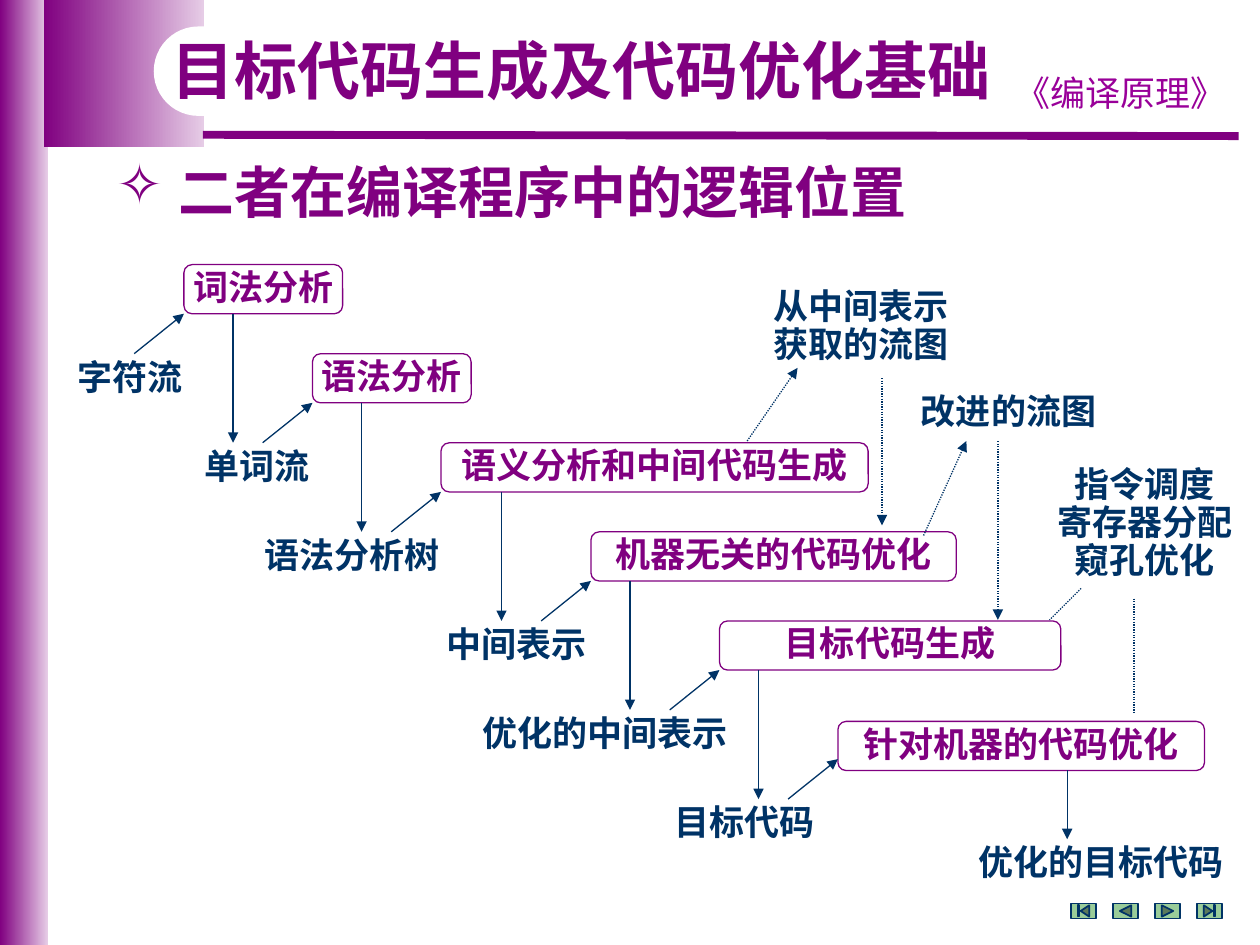
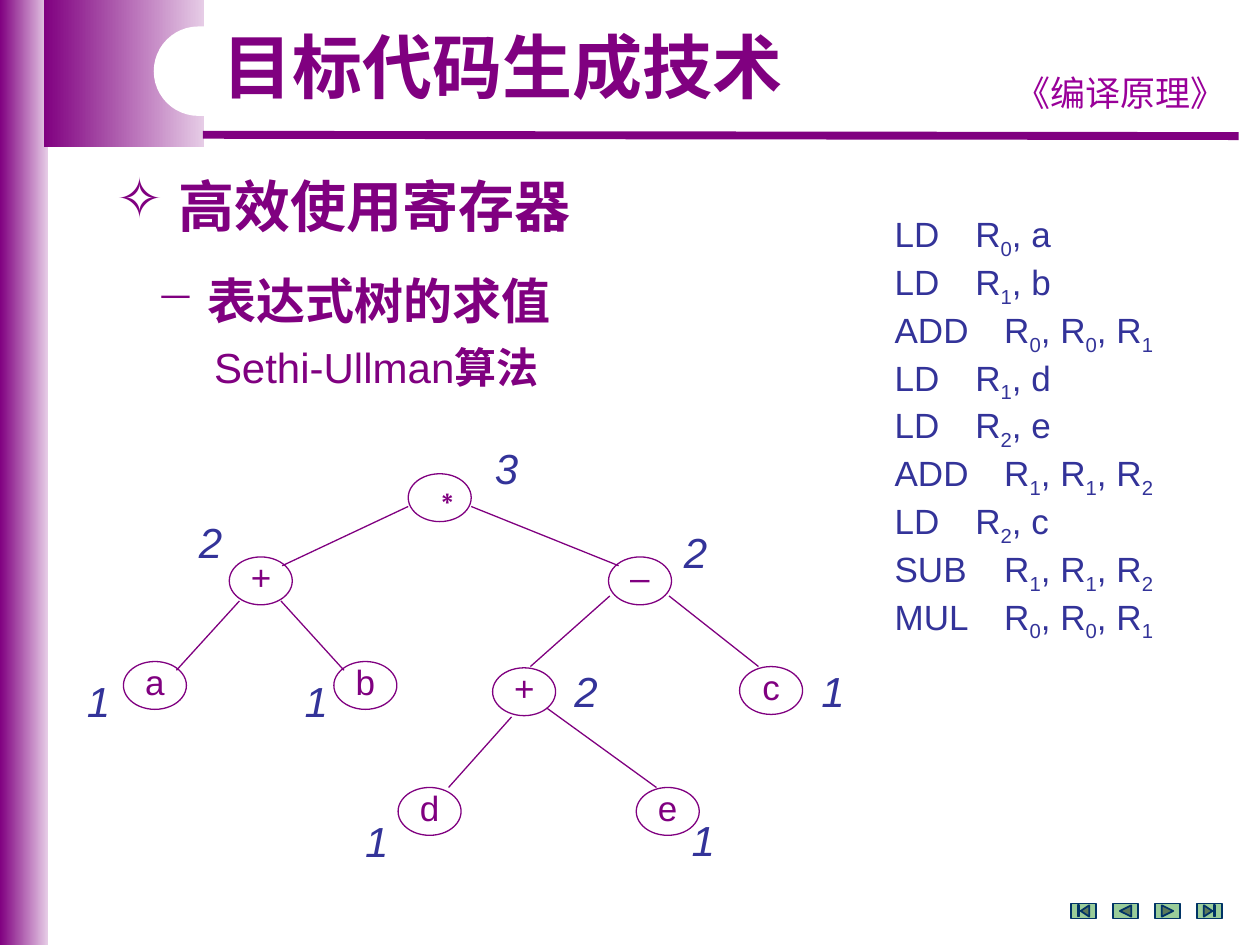
from copy import deepcopy
from itertools import groupby

from lxml import etree
from pptx import Presentation
from pptx import util as u
from pptx.dml.color import RGBColor
from pptx.enum import dml, shapes, text
from pptx.oxml.ns import qn

# The slide is a grid of 100 columns by 75 rows of square cells.
CELL = u.Inches(0.1)
PURPLE, PALE, MAGENTA = "800080", "E6CCE6", "990099"
NAVY, INDIGO, GREEN, WHITE = "003366", "333399", "99CC99", "FFFFFF"
LATIN, CHINESE = "Arial", "Noto Sans CJK SC"
PRESET = shapes.MSO_SHAPE
CENTER = text.PP_ALIGN.CENTER
colour = RGBColor.from_string


def write(slide, box, words, *, preset=None, fill=None, outline=None, size=20, ink=PURPLE,
          font=LATIN, bold=False, italic=False, align=None, spacing=None, wrap=True, grow=True,
          inset=(1, 0.5), middle=False, bullet=None, hang=0, subscripts=False):
    """Put words, one paragraph a line, in a text box or preset shape given in grid cells."""
    place = [int(cells * CELL) for cells in box]
    if preset is None:
        shape = slide.shapes.add_textbox(*place)
    else:
        shape = slide.shapes.add_shape(preset, *place)
        shape.shadow.inherit = False
        shape.fill.background()
        shape.line.fill.background()
    if fill:
        shape.fill.solid()
        shape.fill.fore_color.rgb = colour(fill)
    if outline:
        shape.line.color.rgb = colour(outline)
        shape.line.width = u.Pt(0.75)
    frame = shape.text_frame
    frame.word_wrap = wrap
    frame.auto_size = text.MSO_AUTO_SIZE.SHAPE_TO_FIT_TEXT if grow else text.MSO_AUTO_SIZE.NONE
    frame.vertical_anchor = text.MSO_ANCHOR.MIDDLE if middle else text.MSO_ANCHOR.TOP
    frame.margin_left = frame.margin_right = int(inset[0] * CELL)
    frame.margin_top = frame.margin_bottom = int(inset[1] * CELL)
    for number, line in enumerate(words.split("\n")):
        paragraph = frame.add_paragraph() if number else frame.paragraphs[0]
        paragraph.alignment = align
        paragraph.line_spacing = spacing
        if bullet and number == 0:
            properties = paragraph._p.get_or_add_pPr()
            properties.set("marL", str(int(hang * CELL)))
            properties.set("indent", str(int(-hang * CELL)))
            etree.SubElement(properties, qn("a:buChar"), char=bullet)
        for lowered, letters in groupby(line, lambda letter: subscripts and letter.isdigit()):
            run = paragraph.add_run()
            run.text = "".join(letters)
            run.font.name = font
            run.font.size = u.Pt(size)
            run.font.bold = bold
            run.font.italic = italic
            run.font.color.rgb = colour(ink)
            etree.SubElement(run._r.rPr, qn("a:ea"), typeface=CHINESE)
            if lowered:
                run._r.rPr.set("baseline", "-25000")
    return shape


def connect(slide, start, end, ink=NAVY, width=0.75, arrow=True, dotted=False):
    ends = [int(cells * CELL) for cells in (*start, *end)]
    connector = slide.shapes.add_connector(shapes.MSO_CONNECTOR.STRAIGHT, *ends)
    connector.line.color.rgb = colour(ink)
    connector.line.width = u.Pt(width)
    if dotted:
        connector.line.dash_style = dml.MSO_LINE.ROUND_DOT
    if arrow:
        etree.SubElement(connector.line._get_or_add_ln(), qn("a:tailEnd"), type="triangle")
    etree.SubElement(connector._element.spPr, qn("a:effectLst"))


presentation = Presentation()
presentation.slide_width = 100 * CELL
presentation.slide_height = 75 * CELL
blank = presentation.slide_layouts[6]
logic_slide = presentation.slides.add_slide(blank)
register_slide = presentation.slides.add_slide(blank)

# Shared bands, rule, course name and navigation buttons
buttons = [PRESET.ACTION_BUTTON_BEGINNING, PRESET.ACTION_BUTTON_BACK_OR_PREVIOUS,
           PRESET.ACTION_BUTTON_FORWARD_OR_NEXT, PRESET.ACTION_BUTTON_END]
for slide in (logic_slide, register_slide):
    for box in ((0, 0, 3.8, 75), (3.5, 0, 12.7, 11.7)):
        band = write(slide, box, "", preset=PRESET.RECTANGLE, grow=False)
        band.fill.gradient()
        band.fill.gradient_angle = 0
        for stop, shade in zip(band.fill.gradient_stops, (PURPLE, PALE)):
            stop.color.rgb = colour(shade)
    connect(slide, (16.1, 10.7), (98.3, 10.8), ink=PURPLE, width=4.5, arrow=False)
    write(slide, (79.1, 5.2, 19.7, 4.3), "《编译原理》", font=CHINESE, ink=MAGENTA, align=CENTER)
    notch = write(slide, (12.2, 2.1, 36.2, 7.1), "", preset=PRESET.ROUNDED_RECTANGLE,
                  fill=WHITE, grow=False)
    notch.adjustments[0] = 0.5
    for number, preset in enumerate(buttons):
        button = write(slide, (85 + number * 10 / 3, 71.7, 2, 1.2), "", preset=preset,
                       fill=GREEN, outline=NAVY, grow=False)
        button.line.width = u.Pt(1)

# Slide 1: compiler phases going down a staircase
write(logic_slide, (8.3, 12, 75.9, 6.3), "二者在编译程序中的逻辑位置", size=32, bold=True,
      bullet="✧", hang=4.9)
label = dict(ink=NAVY, bold=True, align=CENTER, spacing=0.9)
TOP, STEP, HEIGHT, LAST_DROP = 21, 7.07, 3.9, 0.9
# phase, its left and width, its input, the input's left and width, column of its output arrow
phases = [
    ("词法分析", 14.6, 12.6, "字符流", 5.1, 10.4, 18.5),
    ("语法分析", 24.8, 12.6, "单词流", 15.2, 10.4, 28.7),
    ("语义分析和中间代码生成", 35, 33.9, "语法分析树", 19.3, 17.3, 39.8),
    ("机器无关的代码优化", 46.9, 29, "中间表示", 34.3, 13.4, 50),
    ("目标代码生成", 57.1, 27.1, "优化的中间表示", 36.6, 22.8, 60.2),
    ("针对机器的代码优化", 66.5, 29.1, "目标代码", 52.4, 13.4, 84.7),
]
for number, (phase, left, width, source, source_left, source_width, output) in enumerate(phases):
    tier = TOP + number * STEP
    last = number == len(phases) - 1
    top = tier + LAST_DROP if last else tier
    write(logic_slide, (left, top, width, HEIGHT), phase, preset=PRESET.ROUNDED_RECTANGLE,
          fill=WHITE, outline=PURPLE, bold=True, align=CENTER, spacing=0.9, middle=True,
          wrap=False, grow=False)
    write(logic_slide, (source_left, tier + STEP, source_width, 4.1), source, wrap=False, **label)
    connect(logic_slide, (left - 3.95, tier + STEP), (left, tier + HEIGHT))
    connect(logic_slide, (output, top + HEIGHT), (output, 66.6 if last else tier + 2 * STEP))
write(logic_slide, (76, 66.6, 22.8, 4.1), "优化的目标代码", wrap=False, **label)

for box, words in [((60, 22.5, 16.7, 7.1), "从中间表示获取的流图"),
                   ((71.7, 30.8, 16.7, 4.1), "改进的流图"),
                   ((82.5, 36.6, 16.7, 10.1), "指令调度\n寄存器分配\n窥孔优化")]:
    write(logic_slide, box, words, **label)
for start, end, arrow in [((59.3, 35), (63.3, 29.2), True), ((70, 30), (70, 41.7), True),
                          ((73.3, 42.5), (76.7, 35), True), ((79.2, 35), (79.2, 49.2), True),
                          ((90, 47.5), (90, 56.7), False), ((85.8, 46.7), (83.3, 49.2), False)]:
    connect(logic_slide, start, end, arrow=arrow, dotted=True)
write(logic_slide, (12.6, 2.7, 67.3, 6.4), "目标代码生成及代码优化基础", size=36, font=CHINESE,
      bold=True, spacing=0.9)

# Slide 2: expression tree and the code generated from it
write(register_slide, (16.7, 2.1, 47.5, 7), "目标代码生成技术", size=40, bold=True, spacing=0.9)
write(register_slide, (8.3, 13.1, 40.9, 6.4), "高效使用寄存器", size=32, bold=True,
      bullet="✧", hang=4.9)
topic = write(register_slide, (11.4, 21, 44.9, 11.4), "表达式树的求值\nSethi-Ullman", size=28,
              bold=True, bullet="−", hang=4.1)
algorithm = topic.text_frame.paragraphs[1]
algorithm.space_before = u.Pt(7)
algorithm._p.get_or_add_pPr().set("marL", str(int(4.6 * CELL)))
algorithm.runs[0].font.size = u.Pt(24)
algorithm._p.append(deepcopy(algorithm.runs[0]._r))
algorithm.runs[0].font.bold = False
algorithm.runs[1].text = "算法"

# symbol, left and top of the node, register count, left and top of the count
nodes = [
    ("∗", 32.4, 37.6, "3", 38.3, 35.9),
    ("+", 18.2, 44.2, "2", 14.8, 41.8),
    ("–", 48.3, 44.2, "2", 53.3, 42.6),
    ("a", 9.8, 52.5, "1", 5.9, 54.4),
    ("b", 26.5, 52.5, "1", 23.2, 54.4),
    ("+", 39.1, 53, "2", 44.6, 53.6),
    ("c", 58.7, 52.9, "1", 64.2, 53.6),
    ("d", 31.6, 62.5, "1", 28, 65.5),
    ("e", 50.5, 62.5, "1", 53.9, 65.4),
]
for symbol, left, top, count, count_left, count_top in nodes:
    write(register_slide, (left, top, 5, 3.8), symbol, preset=PRESET.OVAL, outline=PURPLE,
          align=CENTER, spacing=0.8, inset=(1, 0), middle=True)
    write(register_slide, (count_left, count_top, 3.9, 3.2), count, size=24, ink=INDIGO,
          italic=True, spacing=0.8, inset=(1, 0))
for start, end in [((32.4, 40.2), (22.4, 44.9)), ((37.4, 40.2), (49.1, 44.9)),
                   ((19, 47.7), (14, 53.2)), ((22.3, 47.7), (27.3, 53.2)),
                   ((48.4, 47.3), (42.1, 52.9)), ((53.1, 47.3), (60.2, 52.9)),
                   ((40.6, 56.9), (35.6, 62.5)), ((43.4, 56.2), (52.1, 62.5))]:
    connect(register_slide, start, end, ink=PURPLE, arrow=False)

instructions = ["LD\tR0, a", "LD\tR1, b", "ADD\tR0, R0, R1", "LD\tR1, d", "LD\tR2, e",
                "ADD\tR1, R1, R2", "LD\tR2, c", "SUB\tR1, R1, R2", "MUL\tR0, R0, R1"]
listing = write(register_slide, (64.2, 16.4, 29.9, 31.3), "\n".join(instructions), ink=INDIGO,
                subscripts=True)
listing.text_frame.margin_left = int(6.8 * CELL)
for instruction, paragraph in zip(instructions, listing.text_frame.paragraphs):
    operand = 6.4 if instruction.startswith("LD") else 8.7
    tabs = etree.SubElement(paragraph._p.get_or_add_pPr(), qn("a:tabLst"))
    etree.SubElement(tabs, qn("a:tab"), pos=str(int(operand * CELL)), algn="l")

presentation.save("out.pptx")
